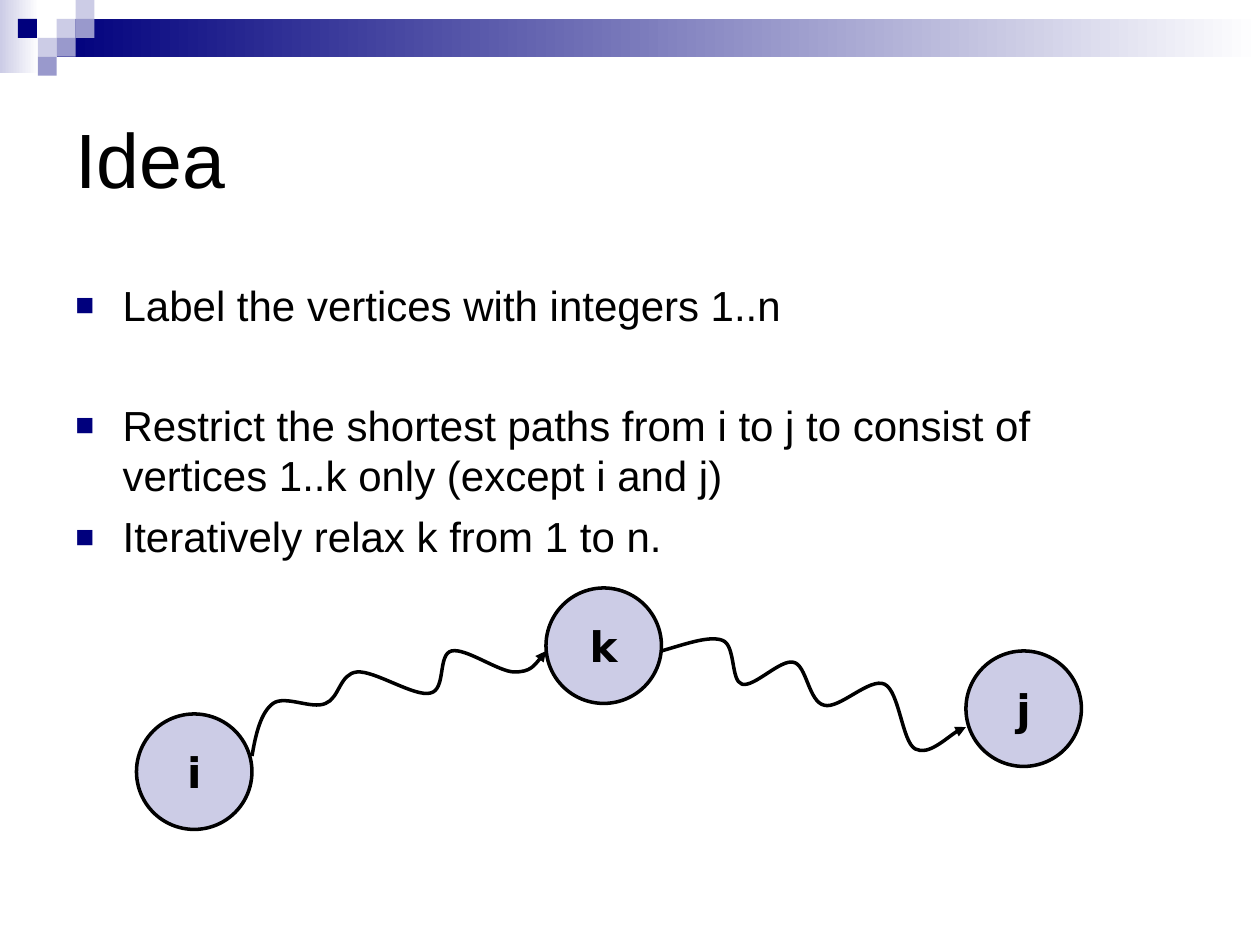
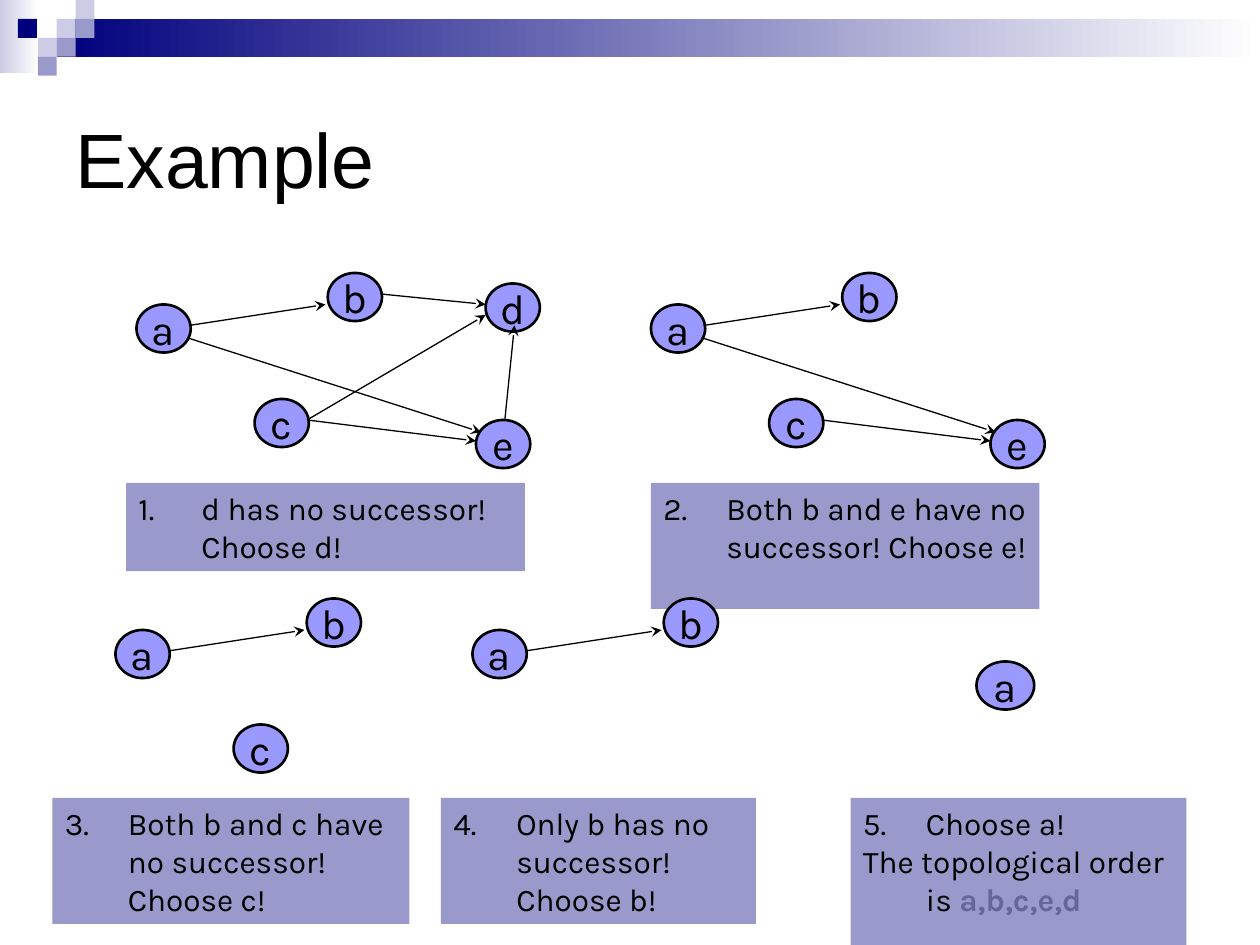
import dataclasses

import pptx
import pptx.dml.color
import pptx.enum.shapes
import pptx.enum.text
import pptx.oxml
import pptx.oxml.ns
import pptx.util

Pt = pptx.util.Pt
qn = pptx.oxml.ns.qn
ALIGN = pptx.enum.text.PP_ALIGN
ANCHOR = pptx.enum.text.MSO_ANCHOR
SHAPE = pptx.enum.shapes.MSO_SHAPE


@dataclasses.dataclass(frozen=True)
class Theme:
    white: str = "FFFFFF"
    black: str = "000000"
    navy: str = "00007D"
    lavender: str = "CCCCE6"
    violet: str = "9999CC"
    node: str = "9999FF"
    answer: str = "666699"
    heading_font: str = "Arial"
    vertex_font: str = "DejaVu Sans"
    graph_font: str = "Karla"
    title_size: int = 44
    body_size: int = 24
    caption_size: int = 18


THEME = Theme()
SLIDE_SIZE = (720, 540)
NODE_SIZE = (31, 27.5)

# Graph nodes and arrows, measured from the top left corner of node a.
NODES = {"a": (0, 0), "b": (109.3, -18), "c": (67.5, 54), "d": (199.5, -12), "e": (194, 66)}
ARROWS = {
    "ab": ((30, 12), (108, 0)),
    "ae": ((29, 19), (197, 73)),
    "bd": ((139.5, -6), (199.5, 0)),
    "cd": ((97.5, 66), (199.5, 6)),
    "ce": ((97.5, 66), (194, 78)),
    "ed": ((210.5, 66), (216, 12)),
}


def rgb(color):
    return pptx.dml.color.RGBColor.from_string(color)


def add_xml(parent, tag, **attributes):
    element = pptx.oxml.parse_xml(
        f'<a:{tag} xmlns:a="http://schemas.openxmlformats.org/drawingml/2006/main"/>'
    )
    for name, value in attributes.items():
        element.set(name, str(value))
    parent.append(element)
    return element


def write(frame, text, *, font, size, color=THEME.black, bold=False, align=ALIGN.LEFT,
          new_paragraph=False, before=0, indent=0, hanging=0):
    """Append text to the frame's last paragraph, or to a new one, and return that paragraph."""
    paragraph = frame.add_paragraph() if new_paragraph else frame.paragraphs[-1]
    if not paragraph.runs:
        paragraph.alignment = align
        paragraph.space_before = Pt(before)
        properties = paragraph._p.get_or_add_pPr()
        properties.set("marL", str(Pt(indent)))
        properties.set("indent", str(-Pt(hanging)))
    run = paragraph.add_run()
    run.text = text
    run.font.name, run.font.size, run.font.bold = font, Pt(size), bold
    run.font.color.rgb = rgb(color)
    return paragraph


def square_bullet(paragraph):
    properties = paragraph._p.get_or_add_pPr()
    add_xml(add_xml(properties, "buClr"), "srgbClr", val=THEME.navy)
    add_xml(properties, "buSzPct", val=75000)
    add_xml(properties, "buFont", typeface=THEME.heading_font)
    add_xml(properties, "buChar", char="■")


def number_bullet(paragraph, number):
    properties = paragraph._p.get_or_add_pPr()
    add_xml(add_xml(properties, "buClr"), "srgbClr", val=THEME.black)
    add_xml(properties, "buAutoNum", type="arabicPeriod", startAt=number)


def add_figure(slide, kind, box, fill, line_width=0):
    figure = slide.shapes.add_shape(kind, *map(Pt, box))
    figure.shadow.inherit = False
    if isinstance(fill, tuple):
        figure.fill.gradient()
        figure.fill.gradient_angle = 0
        for stop, color in zip(figure.fill.gradient_stops, fill):
            stop.color.rgb = rgb(color)
    else:
        figure.fill.solid()
        figure.fill.fore_color.rgb = rgb(fill)
    if line_width:
        figure.line.color.rgb = rgb(THEME.black)
        figure.line.width = Pt(line_width)
    else:
        figure.line.fill.background()
    return figure


def add_circle(slide, label, box, *, fill, line_width, **text_format):
    circle = add_figure(slide, SHAPE.OVAL, box, fill, line_width)
    frame = circle.text_frame
    frame.word_wrap = False
    frame.vertical_anchor = ANCHOR.MIDDLE
    write(frame, label, size=THEME.body_size, align=ALIGN.CENTER, **text_format)


def finish_arrow(line, width, head):
    line.line.color.rgb = rgb(THEME.black)
    line.line.width = Pt(width)
    add_xml(line.line._get_or_add_ln(), "tailEnd", type=head)


def add_arrow(slide, start, end):
    arrow = slide.shapes.add_connector(
        pptx.enum.shapes.MSO_CONNECTOR.STRAIGHT, *map(Pt, (*start, *end))
    )
    finish_arrow(arrow, 0.75, "stealth")
    add_xml(arrow._element.spPr, "effectLst")


def add_wavy_path(slide, points):
    """Draw a curved arrow; after the start, every three points are one Bézier segment."""
    emu = [(Pt(x), Pt(y)) for x, y in points]
    builder = slide.shapes.build_freeform(*emu[0])
    builder.add_line_segments(emu[1:], close=False)
    wave = builder.convert_to_shape()
    outline = next(wave._element.iter(qn("a:path")))
    segments = outline.findall(qn("a:lnTo"))
    for first in range(0, len(segments), 3):
        curve = add_xml(outline, "cubicBezTo")
        for segment in segments[first:first + 3]:
            curve.append(segment[0])
            outline.remove(segment)
    wave.fill.background()
    wave.shadow.inherit = False
    finish_arrow(wave, 2, "triangle")


def add_text_area(slide, box, anchor=ANCHOR.TOP):
    frame = slide.shapes.add_textbox(*map(Pt, box)).text_frame
    frame.word_wrap = True
    frame.vertical_anchor = anchor
    return frame


def draw_header(slide):
    add_figure(slide, SHAPE.RECTANGLE, (0, 0, 22.3, 42), (THEME.lavender, THEME.white))
    add_figure(slide, SHAPE.RECTANGLE, (32.4, 10.8, 687.6, 21.6), (THEME.navy, THEME.white))
    tile = 10.8
    mosaic = {
        THEME.lavender: [(3, 1), (4, 0), (2, 2)],
        THEME.violet: [(4, 1), (3, 2), (2, 3)],
        THEME.navy: [(0.95, 1)],
    }
    for color, cells in mosaic.items():
        for column, row in cells:
            add_figure(slide, SHAPE.RECTANGLE, (column * tile, row * tile, tile, tile), color)


def start_slide(deck, title):
    slide = deck.slides.add_slide(deck.slide_layouts[6])
    draw_header(slide)
    frame = add_text_area(slide, (36, 36, 648, 108), ANCHOR.MIDDLE)
    write(frame, title, font=THEME.heading_font, size=THEME.title_size)
    return slide


def draw_key_points(slide, box):
    points = [
        ("Label the vertices with integers 1..n", 6),
        ("Restrict the shortest paths from i to j to consist of "
         "vertices 1..k only (except i and j)", 40),
        ("Iteratively relax k from 1 to n.", 6),
    ]
    frame = add_text_area(slide, box)
    for index, (point, before) in enumerate(points):
        square_bullet(write(frame, point, font=THEME.heading_font, size=THEME.body_size,
                            new_paragraph=index > 0, before=before, indent=27, hanging=27))


def draw_path_through_k(slide, left, top):
    """Draw vertices i, k and j and the two wavy paths that join them."""
    for vertex, x, y in [("i", 0, 72), ("k", 234, 0), ("j", 474, 36)]:
        add_circle(slide, vertex, (left + x, top + y, 66, 66), fill=THEME.lavender,
                   line_width=2, font=THEME.vertex_font, bold=True)
    i_to_k = [(66, 96), (68, 84), (71, 71), (78, 66), (85, 61), (100, 69.5), (108, 66),
              (116, 63), (116, 49), (126, 48), (136, 47), (159, 62.5), (168, 60),
              (177, 58), (172, 38), (180, 36), (188, 34), (207, 48), (216, 48),
              (225, 48), (229.5, 42), (234, 36)]
    k_to_j = [(300, 36), (314, 32), (327.5, 27), (335, 30), (342.5, 33), (339.5, 53),
              (346, 55), (353, 57), (368, 40.5), (375.5, 42.5), (383, 44), (384, 65),
              (393, 67), (401.5, 69.5), (419, 51), (427.5, 55), (436, 59), (437.5, 88),
              (445, 92), (452.5, 96), (470, 79.5), (474, 79.5)]
    for wave in (i_to_k, k_to_j):
        add_wavy_path(slide, [(left + x, top + y) for x, y in wave])


def draw_graph(slide, left, top, nodes, arrows=(), node_size=NODE_SIZE):
    for node in nodes:
        x, y = NODES[node]
        add_circle(slide, node, (left + x, top + y, *node_size), fill=THEME.node,
                   line_width=1.5, font=THEME.graph_font)
    for name in arrows:
        start, end = (((left + x), (top + y)) for x, y in ARROWS[name])
        add_arrow(slide, start, end)


def draw_step(slide, box, number, text):
    """Draw a numbered caption and return its text frame."""
    frame = add_figure(slide, SHAPE.RECTANGLE, box, THEME.violet).text_frame
    frame.word_wrap = True
    frame.vertical_anchor = ANCHOR.TOP
    number_bullet(write(frame, text, font=THEME.graph_font, size=THEME.caption_size,
                        indent=36, hanging=36), number)
    return frame


def build_idea(deck):
    slide = start_slide(deck, "Idea")
    draw_key_points(slide, (36, 156, 648, 306))
    draw_path_through_k(slide, 78, 336)


def build_example(deck):
    slide = start_slide(deck, "Example")
    upper, lower, captions = 174, 360, 456

    draw_graph(slide, 78, upper, "bdeca", ("bd", "ce", "cd", "ab", "ed", "ae"))
    draw_step(slide, (72, 276, 228, 50.4), 1, "d has no successor! Choose d!")

    draw_step(slide, (372, 276, 222, 72), 2, "Both b and e have no successor! Choose e!")
    draw_graph(slide, 372, upper, "beca", ("ce", "ab", "ae"))

    draw_step(slide, (30, captions, 204, 72), 3, "Both b and c have no successor! Choose c!")
    draw_graph(slide, 66, lower, "bca", ("ab",))

    draw_step(slide, (252, captions, 180, 72), 4, "Only b has no successor! Choose b!")
    draw_graph(slide, 270, lower, "ba", ("ab",))

    draw_graph(slide, 558, 378, "a", node_size=(33, 27.5))
    conclusion = draw_step(slide, (486, captions, 192, 93.6), 5, "Choose a!")
    style = {"font": THEME.graph_font, "size": THEME.caption_size}
    write(conclusion, "The topological order is ", new_paragraph=True,
          indent=36, hanging=36, **style)
    write(conclusion, "a,b,c,e,d", color=THEME.answer, bold=True, **style)


def main():
    deck = pptx.Presentation()
    deck.slide_width, deck.slide_height = map(Pt, SLIDE_SIZE)
    build_idea(deck)
    build_example(deck)
    deck.save("out.pptx")


if __name__ == "__main__":
    main()
